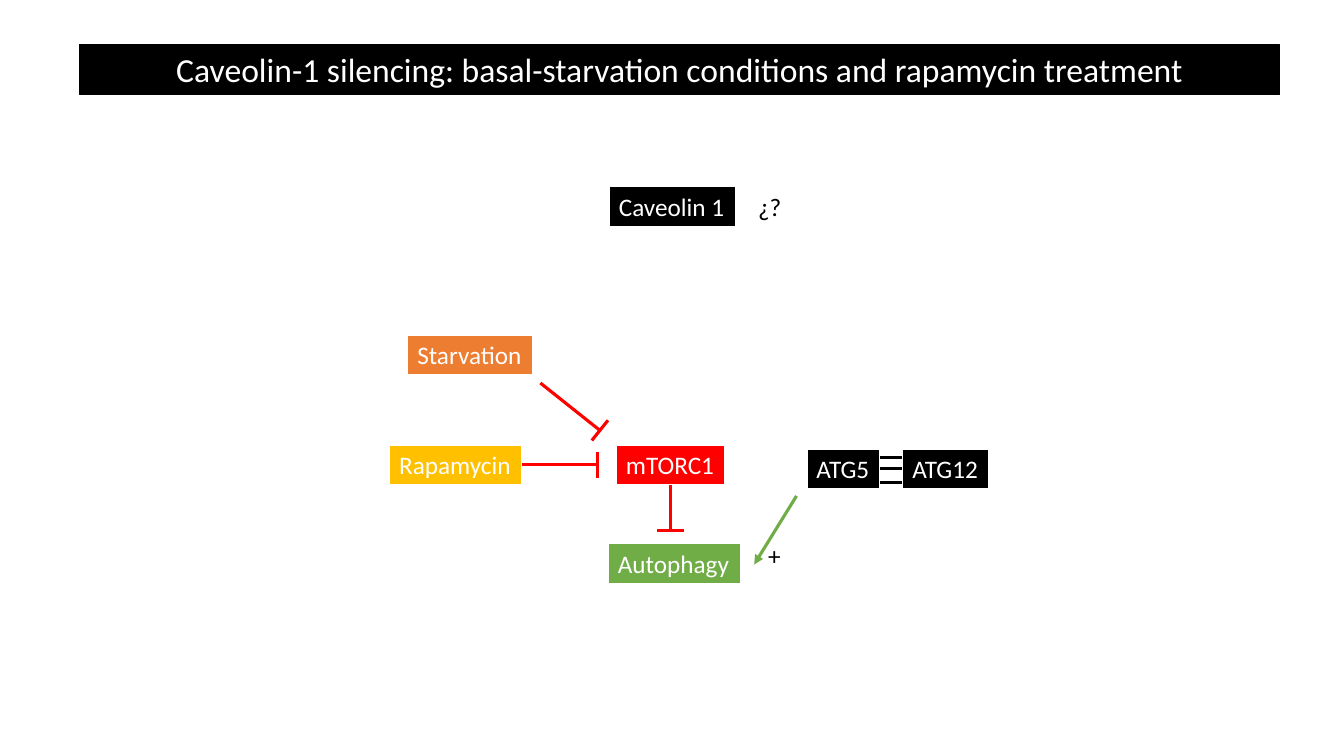
from dataclasses import dataclass
from math import hypot

from lxml.etree import SubElement
from pptx import Presentation
from pptx.dml.color import RGBColor
from pptx.enum.shapes import MSO_CONNECTOR, MSO_SHAPE
from pptx.enum.text import MSO_ANCHOR, MSO_AUTO_SIZE, PP_ALIGN
from pptx.oxml.ns import qn
from pptx.shapes.autoshape import Shape
from pptx.shapes.connector import Connector
from pptx.slide import Slide
from pptx.util import Pt

EMU_PER_PX = 9144
LABEL_HEIGHT = 40
BAR_HALF_LENGTH = 13
COLORS = {
    "black": "000000",
    "white": "FFFFFF",
    "red": "FF0000",
    "amber": "FFC000",
    "green": "70AD47",
    "orange": "ED7D31",
}


@dataclass(frozen=True)
class Label:
    text: str
    left: int
    top: int
    width: int
    fill: str | None = None
    wrap: bool = False


@dataclass(frozen=True)
class Segment:
    start_x: int
    start_y: int
    end_x: int
    end_y: int
    color: str
    arrow: bool = False


LABELS = [
    Label("Caveolin 1", 604, 185, 126, "black"),
    Label("mTORC1", 611, 441, 108, "red"),
    Label("Rapamycin", 386, 441, 132, "amber"),
    Label("Autophagy", 603, 539, 132, "green"),
    Label("Starvation", 404, 332, 125, "orange"),
    Label("ATG5", 800, 445, 73, "black"),
    Label("ATG12", 895, 445, 86, "black"),
    Label("+", 752, 531, 33),
    Label("¿?", 742, 185, 47, wrap=True),
]
BONDS = [Segment(873, y, 895, y, "black") for y in (454, 465, 479)]
ACTIVATION = Segment(790, 492, 748, 560, "green", arrow=True)
INHIBITIONS = [
    Segment(665, 481, 665, 526, "red"),
    Segment(518, 461, 593, 461, "red"),
    Segment(536, 380, 595, 427, "red"),
]


def px(length: int) -> int:
    return length * EMU_PER_PX


def color(name: str) -> RGBColor:
    return RGBColor.from_string(COLORS[name])


def set_text(shape: Shape, text: str, size: int, color_name: str,
             frame_format: dict, alignment: PP_ALIGN) -> None:
    frame = shape.text_frame
    for name, value in frame_format.items():
        setattr(frame, name, value)
    paragraph = frame.paragraphs[0]
    paragraph.alignment = alignment
    run = paragraph.add_run()
    run.text = text
    for name, value in {"name": "Calibri", "size": Pt(size)}.items():
        setattr(run.font, name, value)
    run.font.color.rgb = color(color_name)


def add_box(slide: Slide, left: int, top: int, width: int, height: int,
            fill: str, line: str, line_width: float) -> Shape:
    shape = slide.shapes.add_shape(
        MSO_SHAPE.RECTANGLE, px(left), px(top), px(width), px(height))
    shape.shadow.inherit = False
    shape.fill.solid()
    shape.fill.fore_color.rgb = color(fill)
    shape.line.color.rgb = color(line)
    shape.line.width = Pt(line_width)
    return shape


def add_title(slide: Slide) -> None:
    shape = add_box(slide, 79, 44, 1190, 50, "black", "black", 1)
    set_text(shape,
             "Caveolin-1 silencing: basal-starvation conditions and rapamycin treatment",
             24, "white",
             {"word_wrap": True, "vertical_anchor": MSO_ANCHOR.MIDDLE},
             PP_ALIGN.CENTER)


def add_label(slide: Slide, label: Label) -> None:
    if label.fill:
        shape = add_box(slide, label.left, label.top, label.width,
                        LABEL_HEIGHT, label.fill, "white", 1.5)
    else:
        shape = slide.shapes.add_textbox(
            px(label.left), px(label.top), px(label.width), px(LABEL_HEIGHT))
    set_text(shape, label.text, 18, "white" if label.fill else "black",
             {"word_wrap": label.wrap,
              "auto_size": MSO_AUTO_SIZE.SHAPE_TO_FIT_TEXT,
              "vertical_anchor": MSO_ANCHOR.TOP},
             PP_ALIGN.LEFT)


def add_segment(slide: Slide, segment: Segment) -> Connector:
    connector = slide.shapes.add_connector(
        MSO_CONNECTOR.STRAIGHT, px(segment.start_x), px(segment.start_y),
        px(segment.end_x), px(segment.end_y))
    connector.line.color.rgb = color(segment.color)
    connector.line.width = Pt(2.25)
    if segment.arrow:
        SubElement(connector.line._get_or_add_ln(), qn("a:tailEnd"), type="triangle")
    SubElement(connector._element.spPr, qn("a:effectLst"))
    return connector


def add_inhibition(slide: Slide, stem: Segment) -> None:
    add_segment(slide, stem)
    run_x, run_y = stem.end_x - stem.start_x, stem.end_y - stem.start_y
    scale = BAR_HALF_LENGTH / hypot(run_x, run_y)
    offset_x, offset_y = round(-run_y * scale), round(run_x * scale)
    add_segment(slide, Segment(
        stem.end_x + offset_x, stem.end_y + offset_y,
        stem.end_x - offset_x, stem.end_y - offset_y, stem.color))


def main() -> None:
    presentation = Presentation()
    presentation.slide_width = px(1333)
    presentation.slide_height = px(750)
    slide = presentation.slides.add_slide(presentation.slide_layouts[6])
    add_title(slide)
    for label in LABELS:
        add_label(slide, label)
    for segment in [*BONDS, ACTIVATION]:
        add_segment(slide, segment)
    for stem in INHIBITIONS:
        add_inhibition(slide, stem)
    presentation.save("out.pptx")


if __name__ == "__main__":
    main()
